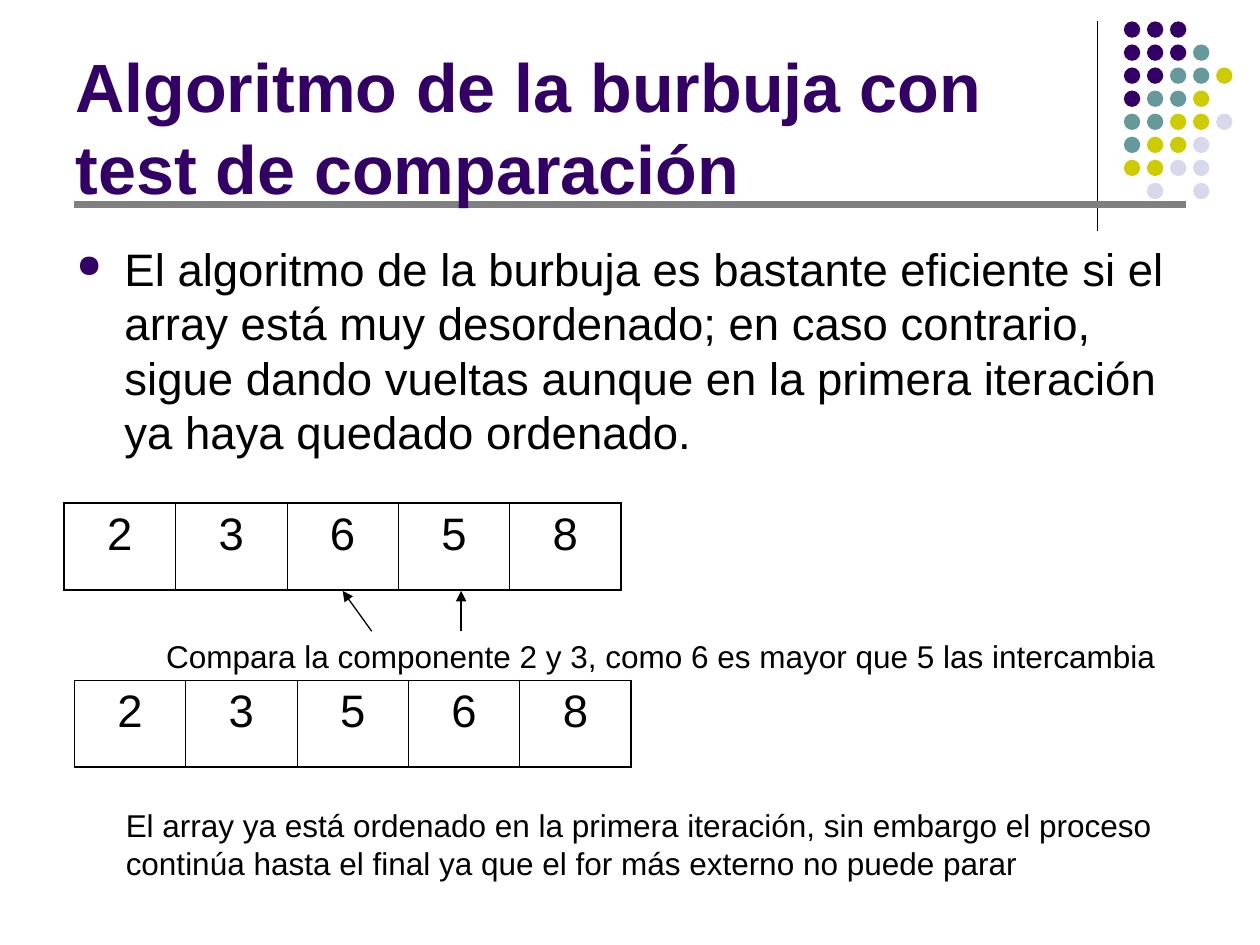
from lxml import etree
from pptx import Presentation
from pptx.dml.color import RGBColor
from pptx.enum.shapes import MSO_CONNECTOR, MSO_SHAPE
from pptx.enum.text import MSO_ANCHOR, PP_ALIGN
from pptx.oxml.ns import qn
from pptx.util import Inches, Pt

WIDE, HIGH = Inches(10), Inches(7.5)
LINE, OVAL = MSO_CONNECTOR.STRAIGHT, MSO_SHAPE.OVAL
TOP, BASE, MID = MSO_ANCHOR.TOP, MSO_ANCHOR.BOTTOM, PP_ALIGN.CENTER

BLACK = RGBColor(0x00, 0x00, 0x00)
GREY = RGBColor(0x80, 0x80, 0x80)
PLUM = RGBColor(0x33, 0x00, 0x66)
TEAL = RGBColor(0x66, 0x99, 0x99)
LIME = RGBColor(0xCC, 0xCC, 0x00)
PALE = RGBColor(0xD8, 0xD8, 0xEC)

HUES = {"P": PLUM, "T": TEAL, "L": LIME, "W": PALE}
DOTS = ["PPP", "PPPT", "PPTTL", "PTTL", "TTLLW", "TLLW", "LLWW", " W W"]

HEAD = {"name": "Arial", "size": Pt(39), "bold": True}
BODY = {"name": "Arial", "size": Pt(26)}
NOTE = {"name": "Arial", "size": Pt(18)}


def across(share):
    """Length as a percentage of the slide's width."""
    return round(WIDE * share / 100)


def down(share):
    """Length as a percentage of the slide's height."""
    return round(HIGH * share / 100)


def style(par, look, hue):
    for key, value in look.items():
        setattr(par.font, key, value)
    par.font.color.rgb = hue


def add_text(slide, box, words, look, hue=BLACK, anchor=TOP):
    x, y, w, h = box
    frame = slide.shapes.add_textbox(
        across(x), down(y), across(w), down(h)).text_frame
    frame.word_wrap = True
    frame.vertical_anchor = anchor
    par = frame.paragraphs[0]
    par.text = words
    style(par, look, hue)
    return par


def add_bullet(par):
    props = par._p.get_or_add_pPr()
    props.set("marL", str(Inches(0.38)))
    props.set("indent", str(-Inches(0.38)))
    tint = etree.Element(qn("a:buClr"))
    etree.SubElement(tint, qn("a:srgbClr"), val=str(PLUM))
    size = etree.Element(qn("a:buSzPct"), val="70000")
    mark = etree.Element(qn("a:buChar"), char="●")
    for place, part in enumerate((tint, size, mark)):
        props.insert(place, part)


def add_line(slide, start, end, hue=BLACK, width=0.75, arrow=False):
    line = slide.shapes.add_connector(
        LINE, across(start[0]), down(start[1]), across(end[0]), down(end[1]))
    line.line.color.rgb = hue
    line.line.width = Pt(width)
    if arrow:
        etree.SubElement(line.line._get_or_add_ln(), qn("a:tailEnd"),
                         type="triangle")
    etree.SubElement(line._element.spPr, qn("a:effectLst"))


def add_dots(slide, left, top, step, size):
    """Draw the corner dots; left, top, step and size are shares of the width."""
    for row, marks in enumerate(DOTS):
        for col, mark in enumerate(marks):
            if mark not in HUES:
                continue
            dot = slide.shapes.add_shape(
                OVAL, across(left + col * step), across(top + row * step),
                across(size), across(size))
            dot.shadow.inherit = False
            dot.fill.solid()
            dot.fill.fore_color.rgb = HUES[mark]
            dot.line.fill.background()


def add_edges(cell, widths):
    props = cell._tc.get_or_add_tcPr()
    for place, (side, width) in enumerate(widths.items()):
        edge = etree.Element(qn("a:ln" + side), w=str(Pt(width)))
        fill = etree.SubElement(edge, qn("a:solidFill"))
        etree.SubElement(fill, qn("a:srgbClr"), val=str(BLACK))
        props.insert(place, edge)


def add_array(slide, x, y, values):
    last = len(values) - 1
    grid = slide.shapes.add_table(
        1, len(values), across(x), down(y), across(44.2), down(9.2)).table
    grid.first_row = grid.horz_banding = False
    for col, value in enumerate(values):
        cell = grid.cell(0, col)
        cell.fill.background()
        par = cell.text_frame.paragraphs[0]
        par.text = str(value)
        par.alignment = MID
        style(par, BODY, BLACK)
        add_edges(cell, {"L": 0.45 if col else 1.08,
                         "R": 0.45 if col < last else 1.08,
                         "T": 1.08, "B": 1.08})


def main():
    deck = Presentation()
    deck.slide_width, deck.slide_height = WIDE, HIGH
    slide = deck.slides.add_slide(deck.slide_layouts[6])

    add_line(slide, (87.1, 2.27), (87.1, 24.4))
    add_dots(slide, 89.2, 1.7, 1.83, 1.3)
    add_line(slide, (5.9, 21.6), (94.1, 21.6), GREY, 4)

    add_text(slide, (5, 1.73, 82.5, 20.93),
             "Algoritmo de la burbuja con test de comparación",
             HEAD, PLUM, BASE)
    add_bullet(add_text(
        slide, (5.1, 24.8, 90, 64.27),
        "El algoritmo de la burbuja es bastante eficiente si el array está "
        "muy desordenado; en caso contrario, sigue dando vueltas aunque en "
        "la primera iteración ya haya quedado ordenado.", BODY))

    add_array(slide, 5.1, 53.2, [2, 3, 6, 5, 8])
    add_array(slide, 5.9, 72, [2, 3, 5, 6, 8])
    add_text(slide, (12.2, 66.8, 84.3, 5.33),
             "Compara la componente 2 y 3, como 6 es mayor que 5 las "
             "intercambia", NOTE)
    for start, end in ((29.5, 27.2), (36.6, 36.6)):
        add_line(slide, (start, 66.8), (end, 62.53), arrow=True)
    add_text(slide, (9, 84.67, 84.3, 9.33),
             "El array ya está ordenado en la primera iteración, sin embargo "
             "el proceso continúa hasta el final ya que el for más externo "
             "no puede parar", NOTE)

    deck.save("out.pptx")


if __name__ == "__main__":
    main()
